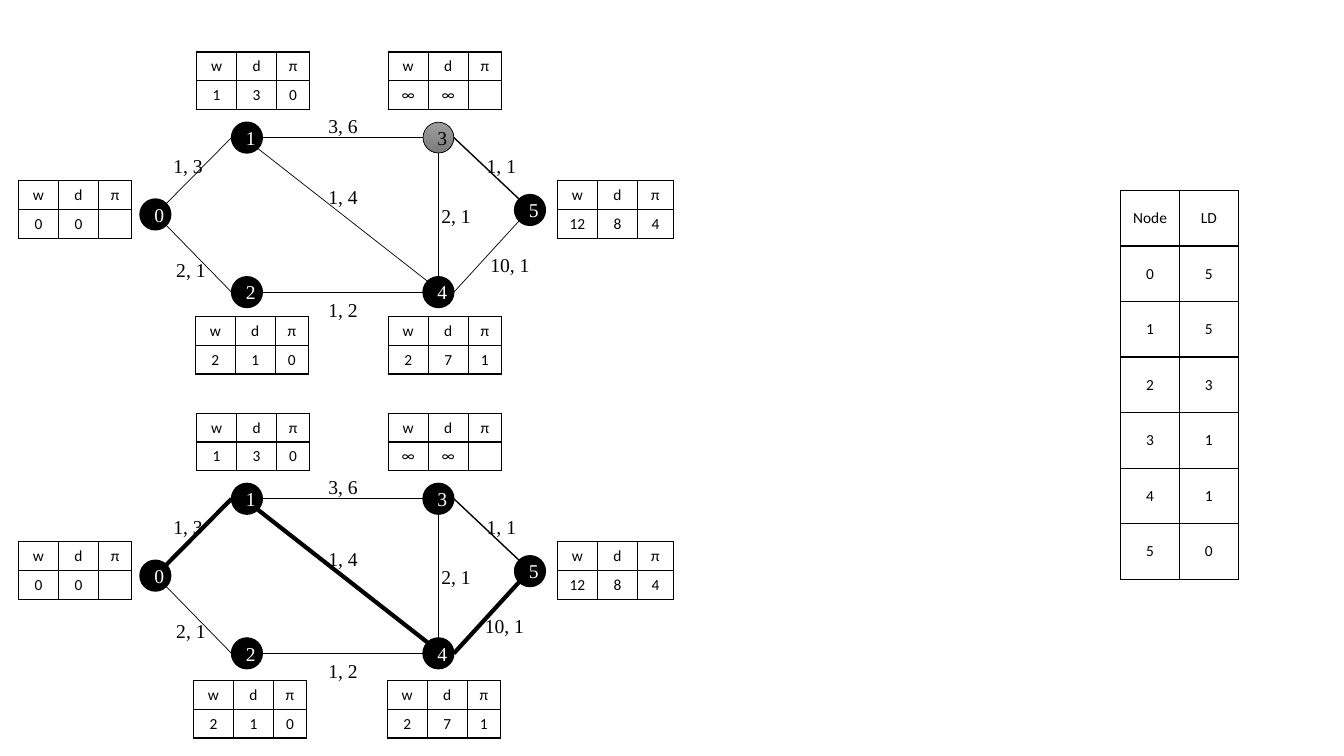
from dataclasses import dataclass
from math import cos, radians, sin

from lxml.etree import SubElement as Sub
from pptx import Presentation
from pptx.dml.color import RGBColor as Rgb
from pptx.enum.shapes import MSO_CONNECTOR as Link, MSO_SHAPE as Form
from pptx.enum.text import MSO_ANCHOR as Anchor, MSO_AUTO_SIZE as Fit, PP_ALIGN as Align
from pptx.oxml.ns import qn
from pptx.shapes.shapetree import GroupShapes as Group, SlideShapes as Shapes
from pptx.text.text import TextFrame as Frame
from pptx.util import Pt

HUES = {"ink": "000000", "paper": "FFFFFF", "light": "9D9D9D", "dark": "7C7C7C"}
SERIF, SANS = "Times New Roman", "Calibri"
SIZE = 22
GAP = 258
ROW = 20.6
SIDES = {"R": 0, "BR": 45, "B": 90, "BL": 135, "L": 180, "TL": 225, "T": 270, "TR": 315}


@dataclass
class Node:
    name: str
    x: float
    y: float


@dataclass
class Edge:
    start: int
    out: str
    end: int
    into: str
    width: float


@dataclass
class Label:
    text: str
    x: float
    y: float
    width: float = 41


@dataclass
class Grid:
    x: float
    y: float
    cols: list[float]
    high: float
    rows: list[list[str]]


@dataclass
class Graph:
    top: float
    gray: list[int]
    bold: list[tuple[int, int]]
    tag: float
    low: list[tuple[float, float]]


NODES = [
    Node("0", 111, 153.2),
    Node("1", 176.4, 98.3),
    Node("2", 176.4, 208.7),
    Node("3", 313.2, 98.3),
    Node("4", 313.2, 208.7),
    Node("5", 378.6, 150),
]
EDGES = [
    Edge(0, "TR", 1, "L", 0.5),
    Edge(1, "R", 3, "L", 1),
    Edge(3, "R", 5, "TL", 1),
    Edge(0, "BR", 2, "L", 0.5),
    Edge(4, "R", 5, "BL", 0.5),
    Edge(2, "R", 4, "L", 0.5),
    Edge(3, "B", 4, "T", 0.5),
    Edge(1, "BR", 4, "TL", 0.5),
]
LABELS = [
    Label("1, 3", 113.8, 106.4),
    Label("2, 1", 115.9, 180.4),
    Label("3, 6", 224.6, 77.8),
    Label("1, 2", 224.6, 209.2),
    Label("1, 4", 224.6, 128.8),
    Label("1, 1", 337.7, 106.4),
    Label("2, 1", 305.3, 141.8),
]
HEAD = ["w", "d", "π"]
SLIM, WIDE = [28.6, 28.6, 23.6], [28.6, 28.6, 25.6]
HIGH = [
    (13.2, 129, SLIM, ["0", "0", ""]),
    (140.4, 37.2, SLIM, ["1", "3", "0"]),
    (277.3, 37.2, SLIM, ["∞", "∞", ""]),
    (398.2, 129, WIDE, ["12", "8", "4"]),
]
LOW = [["2", "1", "0"], ["2", "7", "1"]]
GRAPHS = [
    Graph(0, [3], [], 50.4, [(139.5, 226), (277.3, 226)]),
    Graph(GAP, [], [(0, 1), (1, 4), (4, 5)], 42.5, [(138.2, 228), (276.6, 228)]),
]
DEPTHS = Grid(
    800.5, 136, [42, 42], 39.7,
    [["Node", "LD"], ["0", "5"], ["1", "5"], ["2", "3"], ["3", "1"], ["4", "1"], ["5", "0"]],
)


def tint(name: str) -> Rgb:
    return Rgb.from_string(HUES[name])


def write(frame: Frame, text: str, face: str, size: float, hue: str) -> None:
    frame.text = text
    line = frame.paragraphs[0]
    line.alignment = Align.CENTER
    for run in line.runs:
        run.font.name = face
        run.font.size = Pt(size)
        run.font.color.rgb = tint(hue)
    if not text:
        Sub(line._p, qn("a:endParaRPr"), sz=str(size * 100))


def rim(node: Node, side: str, top: float) -> tuple[Pt, Pt]:
    turn = radians(SIDES[side])
    return Pt(node.x + SIZE / 2 * cos(turn)), Pt(top + node.y + SIZE / 2 * sin(turn))


def draw_node(group: Group, node: Node, top: float, gray: bool) -> None:
    disc = group.add_shape(
        Form.OVAL, Pt(node.x - SIZE / 2), Pt(top + node.y - SIZE / 2), Pt(SIZE), Pt(SIZE)
    )
    disc.shadow.inherit = False
    if gray:
        disc.fill.gradient()
        disc.fill.gradient_angle = 270
        for stop, hue in zip(disc.fill.gradient_stops, ("light", "dark")):
            stop.color.rgb = tint(hue)
    else:
        disc.fill.solid()
        disc.fill.fore_color.rgb = tint("ink")
    disc.line.color.rgb = tint("ink")
    disc.line.width = Pt(0.5 if gray else 1)
    disc.text_frame.word_wrap = True
    disc.text_frame.vertical_anchor = Anchor.MIDDLE
    write(disc.text_frame, node.name, SERIF, 14, "ink" if gray else "paper")


def draw_edge(group: Group, edge: Edge, top: float, bold: bool) -> None:
    start = rim(NODES[edge.start], edge.out, top)
    end = rim(NODES[edge.end], edge.into, top)
    line = group.add_connector(Link.STRAIGHT, *start, *end)
    line.line.color.rgb = tint("ink")
    line.line.width = Pt(3 if bold else edge.width)
    Sub(line._element.spPr, qn("a:effectLst"))


def draw_label(group: Group, label: Label, top: float) -> None:
    box = group.add_textbox(Pt(label.x), Pt(top + label.y), Pt(label.width), Pt(24.2))
    frame = box.text_frame
    frame.word_wrap = False
    frame.auto_size = Fit.SHAPE_TO_FIT_TEXT
    write(frame, label.text, SERIF, 14, "ink")


def draw_grid(shapes: Shapes, grid: Grid) -> None:
    count = len(grid.rows)
    table = shapes.add_table(
        count, len(grid.cols), Pt(grid.x), Pt(grid.y), Pt(sum(grid.cols)), Pt(grid.high * count)
    ).table
    table.first_row = table.horz_banding = False
    for col, width in zip(table.columns, grid.cols):
        col.width = Pt(width)
    for row, texts in zip(table.rows, grid.rows):
        row.height = Pt(grid.high)
        for cell, text in zip(row.cells, texts):
            cell.vertical_anchor = Anchor.MIDDLE
            for side in ("lnL", "lnR", "lnT", "lnB"):
                rule = Sub(cell._tc.get_or_add_tcPr(), qn(f"a:{side}"), w=str(Pt(1)))
                Sub(Sub(rule, qn("a:solidFill")), qn("a:srgbClr"), val=HUES["ink"])
            cell.fill.background()
            write(cell.text_frame, text, SANS, 11, "ink")


def draw_graph(shapes: Shapes, graph: Graph) -> None:
    group = shapes.add_group_shape().shapes
    for spot, node in enumerate(NODES):
        draw_node(group, node, graph.top, spot in graph.gray)
    for edge in EDGES:
        draw_edge(group, edge, graph.top, (edge.start, edge.end) in graph.bold)
    for label in [*LABELS, Label("10, 1", 339.1, 177.3, graph.tag)]:
        draw_label(group, label, graph.top)
    grids = HIGH + [(x, y, SLIM, vals) for (x, y), vals in zip(graph.low, LOW)]
    for x, y, cols, vals in grids:
        draw_grid(shapes, Grid(x, graph.top + y, cols, ROW, [HEAD, vals]))


def main() -> None:
    deck = Presentation()
    deck.slide_width, deck.slide_height = Pt(960), Pt(540)
    shapes = deck.slides.add_slide(deck.slide_layouts[6]).shapes
    draw_grid(shapes, DEPTHS)
    for graph in GRAPHS:
        draw_graph(shapes, graph)
    deck.save("out.pptx")


if __name__ == "__main__":
    main()
